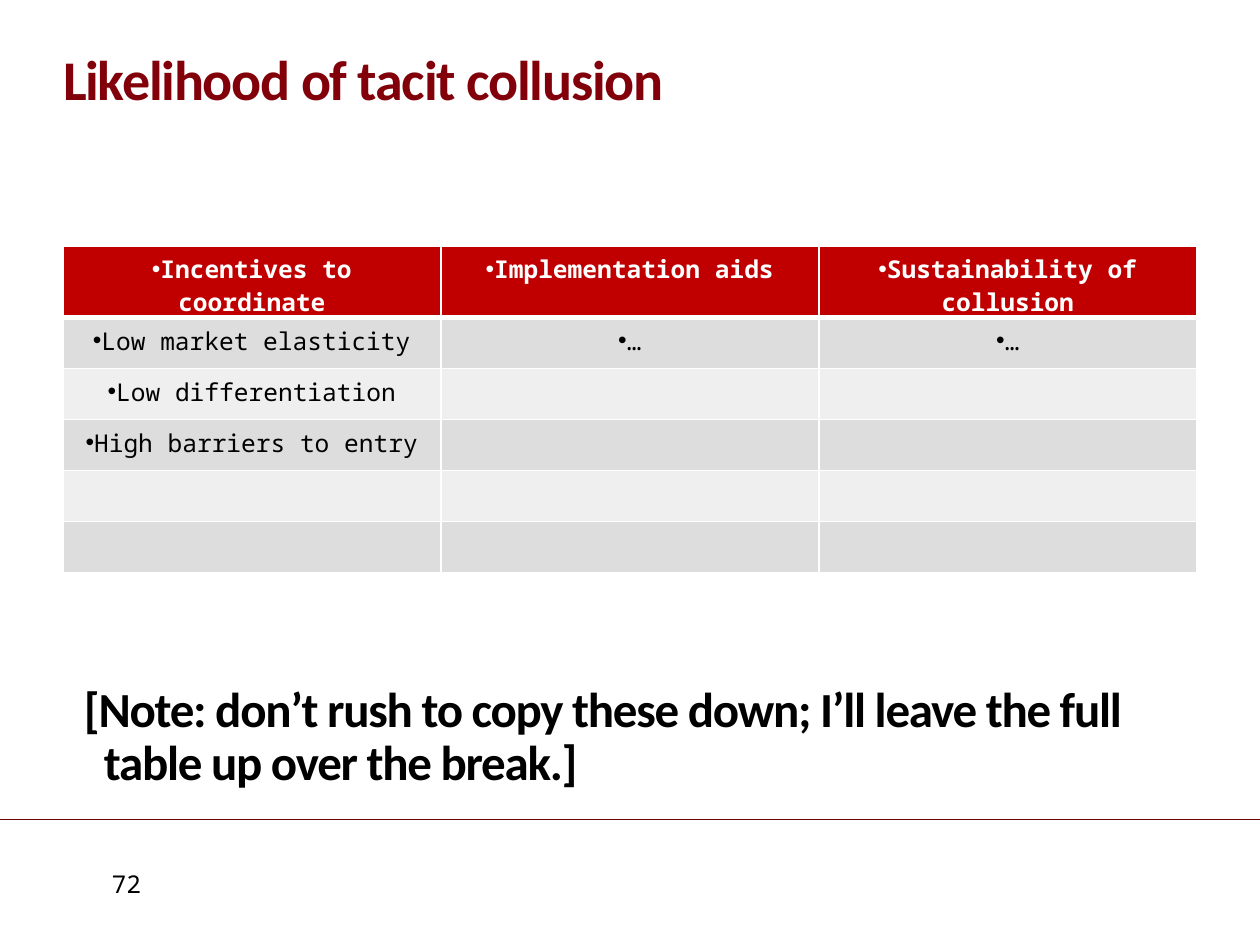
from dataclasses import dataclass

from lxml.etree import SubElement
from pptx import Presentation
from pptx.dml.color import RGBColor
from pptx.enum.shapes import MSO_CONNECTOR
from pptx.enum.text import MSO_ANCHOR, MSO_AUTO_SIZE, PP_ALIGN
from pptx.oxml.ns import qn
from pptx.util import Emu, Pt

TITLE = "Likelihood of tacit collusion"
FACTORS = {
    "Incentives to coordinate": [
        "Low market elasticity", "Low differentiation", "High barriers to entry"],
    "Implementation aids": ["…"],
    "Sustainability of collusion": ["…"],
}
BODY_ROWS = 5
NOTE = ["[Note: don’t rush to copy these down; I’ll leave the full",
        "table up over the break.]"]
PAGE_NUMBER = "72"

# Places in px: left, top, width, height
PX = 914400 // 126
SLIDE_SIZE = (1260, 945)
TITLE_BOX = (63, 37, 1134, 76)
TABLE_BOX = (63, 246, 1134, 306)
NOTE_BOX = (84, 645, 1134, 146)
NOTE_INDENT = 20
PAGE_BOX = (62, 863, 129, 43)
RULE_Y = 819


@dataclass(frozen=True)
class Theme:
    heading_font: str = "Calibri"
    body_font: str = "Noto Sans Mono"
    title: str = "820009"
    rule: str = "6E0000"
    header: str = "C00000"
    bands: tuple = ("DDDDDD", "EFEFEF")
    ink: str = "000000"
    white: str = "FFFFFF"
    title_size: int = 32
    note_size: int = 28
    body_size: int = 14
    tracking: int = -70
    thin_border: int = 1
    header_border: int = 3


THEME = Theme()


def px(*lengths):
    return [Emu(length * PX) for length in lengths]


def put_text(frame, lines, *, size, font, color, bold=False, align=PP_ALIGN.LEFT,
             tracking=None, line_spacing=None, before=0, bullet=None, indent=0):
    """Write one paragraph a line; indent applies to the lines after the first."""
    for index, line in enumerate(lines):
        paragraph = frame.paragraphs[0] if index == 0 else frame.add_paragraph()
        paragraph.alignment = align
        paragraph.space_before = Pt(before)
        if line_spacing:
            paragraph.line_spacing = line_spacing
        properties = paragraph._p.get_or_add_pPr()
        properties.set("marL", str(indent * PX if index else 0))
        properties.set("indent", "0")
        if bullet:
            SubElement(properties, qn("a:buFont"), typeface="Arial")
            SubElement(properties, qn("a:buChar"), char=bullet)
        run = paragraph.add_run()
        run.text = line
        run.font.name = font
        run.font.size = Pt(size)
        run.font.bold = bold
        run.font.color.rgb = RGBColor.from_string(color)
        if tracking:
            run._r.get_or_add_rPr().set("spc", str(tracking))


def set_frame(frame, anchor):
    frame.word_wrap = True
    frame.auto_size = MSO_AUTO_SIZE.NONE
    frame.vertical_anchor = anchor
    frame.margin_left = frame.margin_right = 0
    frame.margin_top = frame.margin_bottom = 0


def set_cell(cell, fill, bottom_border):
    properties = cell._tc.get_or_add_tcPr()
    widths = dict.fromkeys(("a:lnL", "a:lnR", "a:lnT"), THEME.thin_border)
    widths["a:lnB"] = bottom_border
    for side, width in widths.items():
        border = SubElement(properties, qn(side), w=str(Pt(width)))
        SubElement(SubElement(border, qn("a:solidFill")), qn("a:srgbClr"), val=THEME.white)
    cell.fill.solid()
    cell.fill.fore_color.rgb = RGBColor.from_string(fill)


def add_title(slide):
    title = slide.shapes.title
    title.left, title.top, title.width, title.height = px(*TITLE_BOX)
    set_frame(title.text_frame, MSO_ANCHOR.BOTTOM)
    put_text(title.text_frame, [TITLE], size=THEME.title_size, font=THEME.heading_font,
             color=THEME.title, bold=True, tracking=THEME.tracking, line_spacing=0.9)


def add_factor_table(slide):
    table = slide.shapes.add_table(BODY_ROWS + 1, len(FACTORS), *px(*TABLE_BOX)).table
    for column, (heading, factors) in enumerate(FACTORS.items()):
        entries = [heading, *factors]
        for row in range(BODY_ROWS + 1):
            is_header = row == 0
            cell = table.cell(row, column)
            set_cell(cell, THEME.header if is_header else THEME.bands[(row - 1) % 2],
                     THEME.header_border if is_header else THEME.thin_border)
            if row < len(entries):
                put_text(cell.text_frame, [entries[row]], size=THEME.body_size,
                         font=THEME.body_font, bold=is_header,
                         color=THEME.white if is_header else THEME.ink,
                         align=PP_ALIGN.CENTER, before=4, bullet="•")


def add_note(slide):
    note = slide.shapes.add_textbox(*px(*NOTE_BOX)).text_frame
    set_frame(note, MSO_ANCHOR.BOTTOM)
    put_text(note, NOTE, size=THEME.note_size, font=THEME.heading_font, color=THEME.ink,
             bold=True, tracking=THEME.tracking, line_spacing=0.9, indent=NOTE_INDENT)


def add_footer(slide):
    rule = slide.shapes.add_connector(
        MSO_CONNECTOR.STRAIGHT, *px(0, RULE_Y, SLIDE_SIZE[0], RULE_Y))
    rule.line.color.rgb = RGBColor.from_string(THEME.rule)
    rule.line.width = Pt(0.25)
    SubElement(rule._element.spPr, qn("a:effectLst"))
    page = slide.shapes.add_textbox(*px(*PAGE_BOX)).text_frame
    page.word_wrap = True
    put_text(page, [PAGE_NUMBER], size=THEME.body_size, font=THEME.body_font,
             color=THEME.ink, align=PP_ALIGN.CENTER, before=4)


def main():
    deck = Presentation()
    deck.slide_width, deck.slide_height = px(*SLIDE_SIZE)
    slide = deck.slides.add_slide(deck.slide_layouts.get_by_name("Title Only"))
    add_footer(slide)
    add_title(slide)
    add_factor_table(slide)
    add_note(slide)
    deck.save("out.pptx")


if __name__ == "__main__":
    main()
